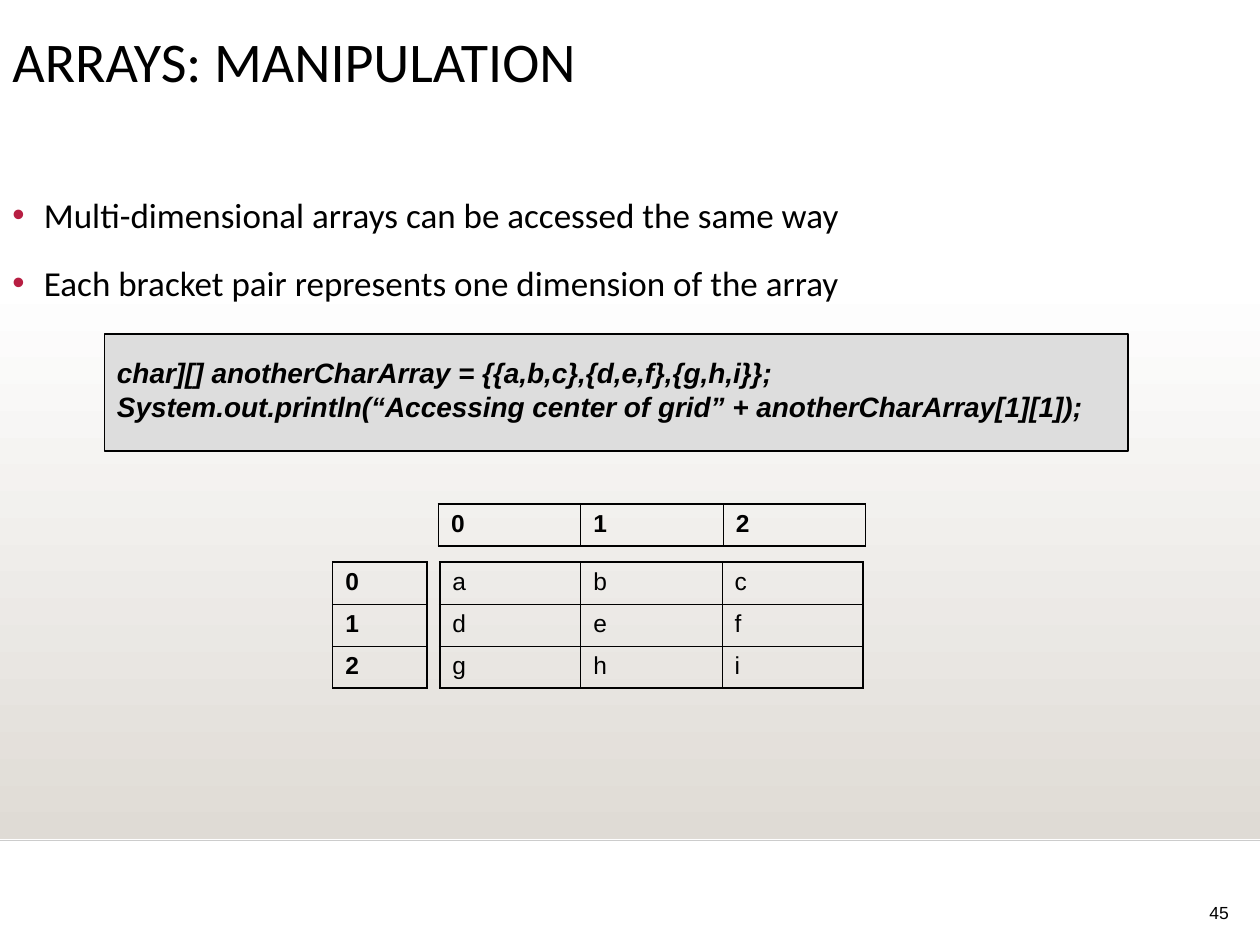
import pptx
import pptx.dml.color
import pptx.enum.shapes
import pptx.enum.text
import pptx.util
from lxml import etree
from pptx.oxml.ns import qn

Inches, Pt = pptx.util.Inches, pptx.util.Pt
Anchor = pptx.enum.text.MSO_ANCHOR
Align = pptx.enum.text.PP_ALIGN
RECT = pptx.enum.shapes.MSO_SHAPE.RECTANGLE

TITLE = "ARRAYS: MANIPULATION"
POINTS = [
    "Multi-dimensional arrays can be accessed the same way",
    "Each bracket pair represents one dimension of the array",
]
CODE = [
    "char][] anotherCharArray = {{a,b,c},{d,e,f},{g,h,i}};",
    "System.out.println(“Accessing center of grid” + anotherCharArray[1][1]);",
]
NUMBER = "45"
ROW = 0.33
# left, top, column width, bold, rows
GRIDS = [
    (3.49, 4.46, 1.12, False, ["abc", "def", "ghi"]),
    (3.48, 4, 1.13, True, ["012"]),
    (2.64, 4.46, 0.75, True, ["0", "1", "2"]),
]
BLACK, RED, GRAY, SAND = "000000", "B71E42", "DDDDDD", "DFDBD5"
OUTER, INNER = 1.08, 0.45


def color(code):
    return pptx.dml.color.RGBColor.from_string(code)


def write(para, text, font, size, space=1.0, before=0, bold=False, italic=False):
    para.line_spacing = space
    para.space_before = Pt(before)
    run = para.add_run()
    run.text = text
    run.font.name, run.font.size = font, Pt(size)
    run.font.bold, run.font.italic = bold, italic
    run.font.color.rgb = color(BLACK)


def fill(frame, lines, anchor=Anchor.TOP, align=Align.LEFT, **style):
    """Write one paragraph per line and return the paragraphs."""
    frame.word_wrap = True
    frame.vertical_anchor = anchor
    paras = [frame.paragraphs[0]] + [frame.add_paragraph() for _ in lines[1:]]
    for para, line in zip(paras, lines):
        para.alignment = align
        write(para, line, **style)
    return paras


def box(slide, *place):
    return slide.shapes.add_textbox(*map(Inches, place)).text_frame


def rect(slide, *place):
    shape = slide.shapes.add_shape(RECT, *map(Inches, place))
    shape.shadow.inherit = False
    return shape


def bullet(para):
    props = para._p.get_or_add_pPr()
    props.set("marL", str(Inches(0.25)))
    props.set("indent", str(-Inches(0.25)))
    tint = etree.SubElement(props, qn("a:buClr"))
    etree.SubElement(tint, qn("a:srgbClr"), val=RED)
    etree.SubElement(props, qn("a:buFont"), typeface="Arial")
    etree.SubElement(props, qn("a:buChar"), char="•")


def border(cell, edges):
    """Draw the four cell edges; edges maps a side to whether it is outer."""
    props = cell._tc.get_or_add_tcPr()
    for side, outer in edges.items():
        width = Pt(OUTER if outer else INNER)
        line = etree.SubElement(props, qn("a:ln" + side), w=str(width))
        solid = etree.SubElement(line, qn("a:solidFill"))
        etree.SubElement(solid, qn("a:srgbClr"), val=BLACK)


def grid(slide, left, top, width, bold, rows):
    high, wide = len(rows), len(rows[0])
    place = map(Inches, (left, top, wide * width, high * ROW))
    table = slide.shapes.add_table(high, wide, *place).table
    table.first_row = table.horz_banding = False
    for r, row in enumerate(rows):
        for c, text in enumerate(row):
            cell = table.cell(r, c)
            border(cell, {"L": c == 0, "R": c == wide - 1,
                          "T": r == 0, "B": r == high - 1})
            cell.fill.background()
            write(cell.text_frame.paragraphs[0], text, "Arial", 14,
                  before=3.5, bold=bold)


def backdrop(slide):
    band = rect(slide, 0, 2.2, 10, 4.46)
    band.line.fill.background()
    band.fill.gradient()
    band.fill.gradient_angle = 270
    for stop, spot, code in zip(band.fill.gradient_stops, (0, 1), ("FFFFFF", SAND)):
        stop.position, stop.color.rgb = spot, color(code)
    rule = slide.shapes.add_connector(
        pptx.enum.shapes.MSO_CONNECTOR.STRAIGHT,
        *map(Inches, (0, 6.67, 10, 6.67)))
    rule.line.color.rgb, rule.line.width = color("CCCCCC"), Pt(1)
    etree.SubElement(rule._element.spPr, qn("a:effectLst"))


def main():
    deck = pptx.Presentation()
    deck.slide_width, deck.slide_height = Inches(10), Inches(7.5)
    slide = deck.slides.add_slide(deck.slide_layouts[6])
    backdrop(slide)
    fill(box(slide, 8, 7.08, 1.85, 0.29), [NUMBER], Anchor.BOTTOM, Align.RIGHT,
         font="Arial", size=10, space=0.8)
    fill(box(slide, 0, 0.22, 8.92, 1), [TITLE],
         font="Calibri", size=32, space=0.9)
    for para in fill(box(slide, 0, 1.42, 9.25, 5.83), POINTS,
                     font="Calibri", size=20, space=1.2, before=10):
        bullet(para)
    for spec in GRIDS:
        grid(slide, *spec)
    panel = rect(slide, 0.83, 2.65, 8.12, 0.93)
    panel.fill.solid()
    panel.fill.fore_color.rgb = color(GRAY)
    panel.line.color.rgb, panel.line.width = color(BLACK), Pt(1)
    fill(panel.text_frame, CODE, Anchor.MIDDLE, font="Arial", size=16,
         space=0.8, before=4, bold=True, italic=True)
    deck.save("out.pptx")


if __name__ == "__main__":
    main()
